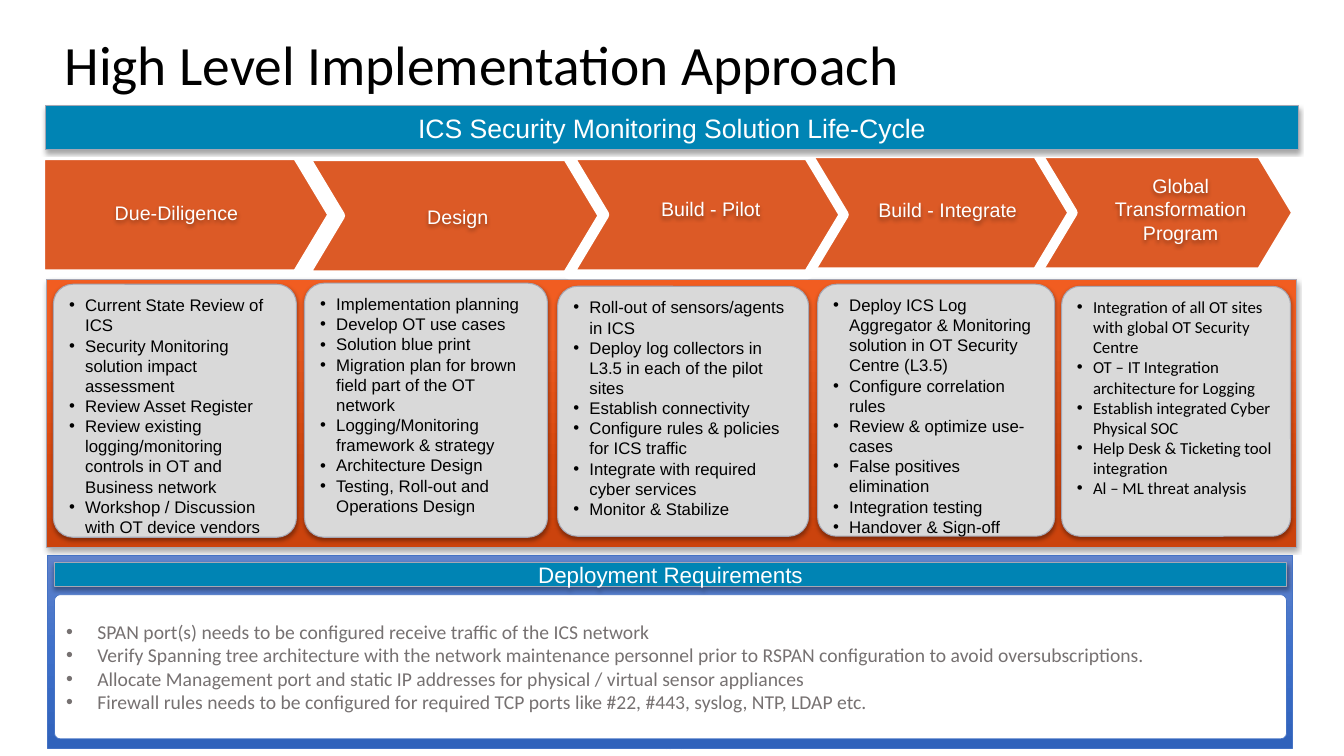
from lxml import etree
from pptx import Presentation
from pptx.dml.color import RGBColor
from pptx.enum.shapes import MSO_SHAPE as SHAPE
from pptx.enum.text import MSO_ANCHOR as ANCHOR, MSO_AUTO_SIZE as AUTO, PP_ALIGN as ALIGN
from pptx.oxml import parse_xml
from pptx.oxml.ns import nsdecls, qn
from pptx.util import Emu, Pt

PX = 9144
BLACK, WHITE = RGBColor(0, 0, 0), RGBColor(255, 255, 255)
ORANGE, TEAL = RGBColor(0xDC, 0x5A, 0x26), RGBColor(0x00, 0x84, 0xB4)
CARD, EDGE = RGBColor(0xD9, 0xD9, 0xD9), RGBColor(0xA6, 0xA7, 0xB4)
BLUE, GREY = RGBColor(0x44, 0x72, 0xC4), RGBColor(0x76, 0x71, 0x71)
FOOT = RGBColor(0x62, 0x64, 0x69)
FLAME = [(0, RGBColor(0xF1, 0x5D, 0x21)), (23, RGBColor(0xF1, 0x5D, 0x21)),
         (69, RGBColor(0xD9, 0x48, 0x0E)), (97, RGBColor(0xCB, 0x43, 0x0D))]
SEA = [(0, RGBColor(0x61, 0x83, 0xCB)), (50, RGBColor(0x3E, 0x70, 0xCA)),
       (100, RGBColor(0x30, 0x62, 0xBB))]

TITLE = "High Level Implementation Approach"
BANNERS = [
    ("ICS Security Monitoring Solution Life-Cycle", (45, 105, 1243, 43), 19),
    ("Deployment Requirements", (54, 558, 1222, 24), 16),
]
STAGES = [
    ("Due-Diligence", (79, 167, 192, 87), (40, 154, 290, 118), (53, 282, 241, 251), "Arial", [
        "Current State Review of ICS",
        "Security Monitoring solution impact assessment",
        "Review Asset Register",
        "Review existing logging/monitoring controls in OT and Business network",
        "Workshop / Discussion with OT device vendors"]),
    ("Design", (358, 171, 192, 87), (302, 155, 296, 118), (302, 281, 241, 252), "Arial", [
        "Implementation planning",
        "Develop OT use cases",
        "Solution blue print",
        "Migration plan for brown field part of the OT network",
        "Logging/Monitoring framework & strategy",
        "Architecture Design",
        "Testing, Roll-out and Operations Design"]),
    ("Build - Pilot", (609, 165, 192, 85), (564, 154, 273, 118), (553, 284, 249, 248), "Arial", [
        "Roll-out of sensors/agents in ICS",
        "Deploy log collectors in L3.5 in each of the pilot sites",
        "Establish connectivity",
        "Configure rules & policies for ICS traffic",
        "Integrate with required cyber services",
        "Monitor & Stabilize"]),
    ("Build - Integrate", (844, 165, 192, 87), (798, 152, 266, 118), (811, 282, 235, 250), "Arial", [
        "Deploy ICS Log Aggregator & Monitoring solution in OT Security Centre (L3.5)",
        "Configure correlation rules",
        "Review & optimize use-cases",
        "False positives elimination",
        "Integration testing",
        "Handover & Sign-off"]),
    ("Global Transformation Program", (1075, 164, 192, 87), (1021, 152, 265, 118),
     (1053, 284, 227, 248), "Calibri", [
        "Integration of all OT sites with global OT Security Centre",
        "OT – IT Integration architecture for Logging",
        "Establish integrated Cyber Physical SOC",
        "Help Desk & Ticketing tool integration",
        "Al – ML threat analysis"]),
]
BEHIND_PANEL, ABOVE_PANEL = (4, 1, 3, 0), (2,)
REQUIREMENTS = [
    "SPAN port(s) needs to be configured receive traffic of the ICS network",
    "Verify Spanning tree architecture with the network maintenance personnel prior to "
    "RSPAN configuration to avoid oversubscriptions.",
    "Allocate Management port and static IP addresses for physical / virtual sensor appliances",
    "Firewall rules needs to be configured for required TCP ports like #22, #443, syslog, "
    "NTP, LDAP etc.",
]


def emu(box):
    return [Emu(v * PX) for v in box]


def add_shadow(s):
    s._element.spPr.append(parse_xml(
        f'<a:effectLst {nsdecls("a")}><a:outerShdw blurRad="{Pt(3.1)}" dist="{Pt(1.8)}" '
        'dir="5400000" rotWithShape="0"><a:srgbClr val="000000"><a:alpha val="35000"/>'
        '</a:srgbClr></a:outerShdw></a:effectLst>'))


def write(s, lines, size, font, color, align=ALIGN.LEFT, anchor=ANCHOR.MIDDLE, indent=0):
    tf = s.text_frame
    tf.word_wrap, tf.auto_size, tf.vertical_anchor = True, AUTO.NONE, anchor
    for i, line in enumerate(lines):
        p = tf.add_paragraph() if i else tf.paragraphs[0]
        p.alignment = align
        if indent:
            pPr = p._p.get_or_add_pPr()
            pPr.set("marL", str(indent * PX))
            pPr.set("indent", str(-indent * PX))
            etree.SubElement(pPr, qn("a:buFont")).set("typeface", "Arial")
            etree.SubElement(pPr, qn("a:buChar")).set("char", "•")
        r = p.add_run()
        r.text = line
        r.font.size, r.font.name, r.font.color.rgb = Pt(size), font, color
    return tf


def add_shape(kind, box, fill, line, width, adj=None, shadow=False):
    s = slide.shapes.add_shape(kind, *emu(box))
    if isinstance(fill, list):
        s.fill.gradient()
        s.fill.gradient_angle = 270
        stops = s._element.spPr.find(qn("a:gradFill")).find(qn("a:gsLst"))
        for stop in list(stops):
            stops.remove(stop)
        for pos, color in fill:
            gs = etree.SubElement(stops, qn("a:gs"), pos=str(pos * 1000))
            etree.SubElement(gs, qn("a:srgbClr"), val=str(color))
    else:
        s.fill.solid()
        s.fill.fore_color.rgb = fill
    s.line.color.rgb, s.line.width = line, Pt(width)
    if adj:
        s.adjustments[0] = adj
    if shadow:
        add_shadow(s)
    else:
        s.shadow.inherit = False
    return s


def add_arrow(i):
    label, label_box, arrow_box = STAGES[i][:3]
    kind = SHAPE.CHEVRON if i else SHAPE.PENTAGON
    add_shape(kind, arrow_box, ORANGE, WHITE, 7, 0.3)
    s = slide.shapes.add_textbox(*emu(label_box))
    add_shadow(s)
    write(s, [label], 14, "Arial", WHITE, ALIGN.CENTER)


prs = Presentation()
prs.slide_width, prs.slide_height = emu((1333, 750))
slide = prs.slides.add_slide(prs.slide_layouts[5])

title = slide.shapes.title
title.left, title.top, title.width, title.height = emu((54, 33, 1044, 68))
write(title, [TITLE], 39.6, "Calibri", BLACK).paragraphs[0].line_spacing = 0.9

footer = slide.shapes.add_textbox(*emu((642, 730, 50, 20)))
tf = write(footer, ["Internal"], 6, "Arial", FOOT, ALIGN.CENTER)
tf.margin_left = tf.margin_top = tf.margin_right = tf.margin_bottom = 0

for i in BEHIND_PANEL:
    add_arrow(i)
add_shape(SHAPE.RECTANGLE, (46, 277, 1240, 266), FLAME, EDGE, 0.75, shadow=True)
for i in ABOVE_PANEL:
    add_arrow(i)
for _, _, _, card_box, font, items in STAGES:
    s = add_shape(SHAPE.ROUNDED_RECTANGLE, card_box, CARD, EDGE, 0.75, 0.08, True)
    write(s, items, 12, font, BLACK, anchor=ANCHOR.TOP, indent=16)

add_shape(SHAPE.RECTANGLE, (47, 551, 1235, 191), SEA, BLUE, 0.5)
s = add_shape(SHAPE.ROUNDED_RECTANGLE, (54, 590, 1222, 143), WHITE, BLUE, 0.5, 0.04)
write(s, REQUIREMENTS, 14, "Calibri", GREY, indent=31)
for text, box, size in BANNERS:
    s = add_shape(SHAPE.RECTANGLE, box, TEAL, EDGE, 0.75, shadow=True)
    write(s, [text], size, "Arial", WHITE, ALIGN.CENTER)

prs.save("out.pptx")
